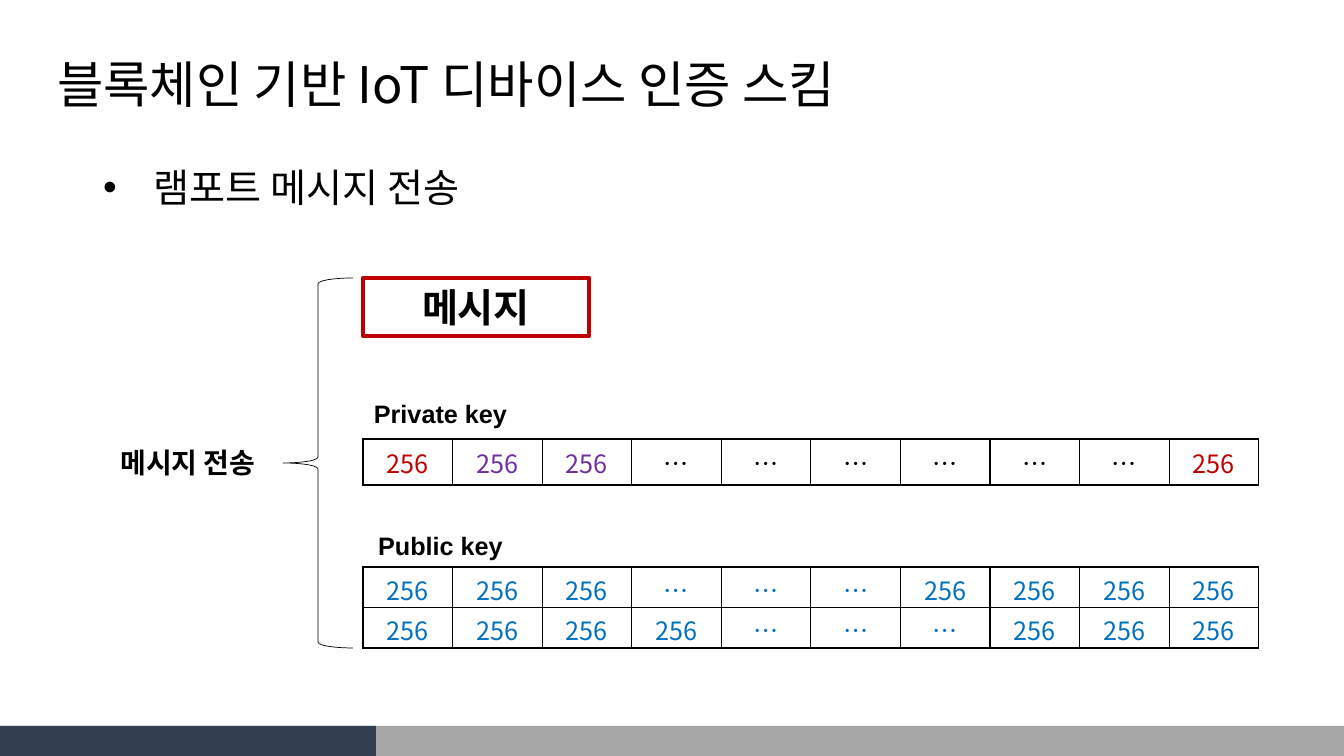
from pptx import Presentation, util as u
from pptx.dml.color import RGBColor
from pptx.enum import shapes, text
from pptx.oxml import parse_xml
from pptx.oxml.ns import nsdecls, qn

# Content
TITLE = "블록체인 기반 IoT 디바이스 인증 스킴"
POINT = "램포트 메시지 전송"
MESSAGE = "메시지"
SANS, NOTO = "Arial", "Noto Sans CJK KR"
BLACK, RED, PURPLE, BLUE = "000000", "C00000", "7030A0", "0070C0"
GREY, NAVY = "A6A6A6", "333F50"

NUM, DOTS = "256", "…"
PRIVATE = [[(NUM, RED)] + [(NUM, PURPLE)] * 2 + [(DOTS, BLACK)] * 6 + [(NUM, RED)]]
PUBLIC = [
    [(word, BLUE) for word in [NUM] * 3 + [DOTS] * 3 + [NUM] * 4],
    [(word, BLUE) for word in [NUM] * 4 + [DOTS] * 3 + [NUM] * 3],
]
# rows, top, row height, top and bottom cell margin
TABLES = [(PRIVATE, 439, 46, 5, 4), (PUBLIC, 567, 40, 4, 0)]
# text, left, top, width, height, size
LABELS = [
    ("메시지 전송", 93, 441, 190, 44, 20),
    ("Private key", 363, 393, 155, 40, 18),
    ("Public key", 363, 525, 155, 40, 18),
]
WIDE, HIGH = 1344, 756
LEFT, SPAN = 363, 896
BAR_TOP, BAR_HIGH, STEP = 726, 30, 94


def px(n):
    return u.Emu(round(n * 914400 / 100.8))


def box(*nums):
    return [px(n) for n in nums]


def rgb(code):
    return RGBColor.from_string(code)


def place(item, *nums):
    item.left, item.top, item.width, item.height = box(*nums)


def style(frame, size, face, color=BLACK, bold=False, align=text.PP_ALIGN.CENTER):
    for par in frame.paragraphs:
        par.alignment = align
        for run in par.runs:
            font = run.font
            font.size, font.name, font.bold = u.Pt(size), face, bold
            font.color.rgb = rgb(color)
            font._element.find(qn("a:latin")).addnext(
                parse_xml(f'<a:ea {nsdecls("a")} typeface="{NOTO}"/>'))


def shape(kind, nums, fill=None, line=None, width=1):
    item = slide.shapes.add_shape(kind, *box(*nums))
    item.shadow.inherit = False
    if fill:
        item.fill.solid()
        item.fill.fore_color.rgb = rgb(fill)
    else:
        item.fill.background()
    if line:
        item.line.color.rgb = rgb(line)
        item.line.width = u.Pt(width)
    else:
        item.line.fill.background()
    return item


def grid(rows, top, high, above, below):
    count = len(rows[0])
    table = slide.shapes.add_table(
        len(rows), count, *box(LEFT, top, SPAN, high * len(rows))).table
    table.first_row = table.horz_banding = False
    for col in table.columns:
        col.width = px(SPAN / count)
    for r, row in enumerate(rows):
        table.rows[r].height = px(high)
        for c, (word, color) in enumerate(row):
            cell = table.cell(r, c)
            cell.text_frame.text = word
            cell.margin_top, cell.margin_bottom = px(above), px(below)
            style(cell.text_frame, 18, NOTO, color)
            props = cell._tc.get_or_add_tcPr()
            for side in ("lnL", "lnR", "lnT", "lnB"):
                props.append(parse_xml(
                    f'<a:{side} {nsdecls("a")} w="12700"><a:solidFill>'
                    f'<a:srgbClr val="{BLACK}"/></a:solidFill></a:{side}>'))
            cell.fill.background()


prs = Presentation()
prs.slide_width, prs.slide_height = px(WIDE), px(HIGH)
slide = prs.slides.add_slide(prs.slide_layouts[1])

# Title and bullet
title, body = slide.placeholders
place(title, 47, 39, 1159, 97)
place(body, 93, 157, 1200, 65)
for item, words, size in ((title, TITLE, 36), (body, POINT, 28)):
    frame = item.text_frame
    frame.text = words
    frame.auto_size = text.MSO_AUTO_SIZE.NONE
    frame.vertical_anchor = text.MSO_ANCHOR.MIDDLE
    par = frame.paragraphs[0]
    par.line_spacing, par.space_before = 0.9, u.Pt(0)
    style(frame, size, NOTO, align=text.PP_ALIGN.LEFT)
props = body.text_frame.paragraphs[0]._p.get_or_add_pPr()
props.set("marL", "457200")
props.set("indent", "-457200")
props.append(parse_xml(f'<a:buFont {nsdecls("a")} typeface="{SANS}"/>'))
props.append(parse_xml(f'<a:buChar {nsdecls("a")} char="•"/>'))

# Bottom bar
RECT = shapes.MSO_SHAPE.RECTANGLE
shape(RECT, (0, BAR_TOP, WIDE, BAR_HIGH), GREY)
for n in range(4):
    shape(RECT, (n * STEP, BAR_TOP, STEP, BAR_HIGH), NAVY)

# Key tables
for entry in TABLES:
    grid(*entry)

# Message box and brace
note = shape(RECT, (LEFT, 278, 226, 58), line=RED, width=3)
note.text_frame.text = MESSAGE
note.text_frame.vertical_anchor = text.MSO_ANCHOR.MIDDLE
style(note.text_frame, 28, SANS, bold=True)
shape(shapes.MSO_SHAPE.LEFT_BRACE, (283, 278, 70, 370), line=BLACK, width=0.5)

# Labels
for words, left, top, wide, high, size in LABELS:
    frame = slide.shapes.add_textbox(*box(left, top, wide, high)).text_frame
    frame.word_wrap = True
    frame.margin_left = frame.margin_right = 0
    frame.text = words
    style(frame, size, SANS, bold=True)

prs.save("out.pptx")
